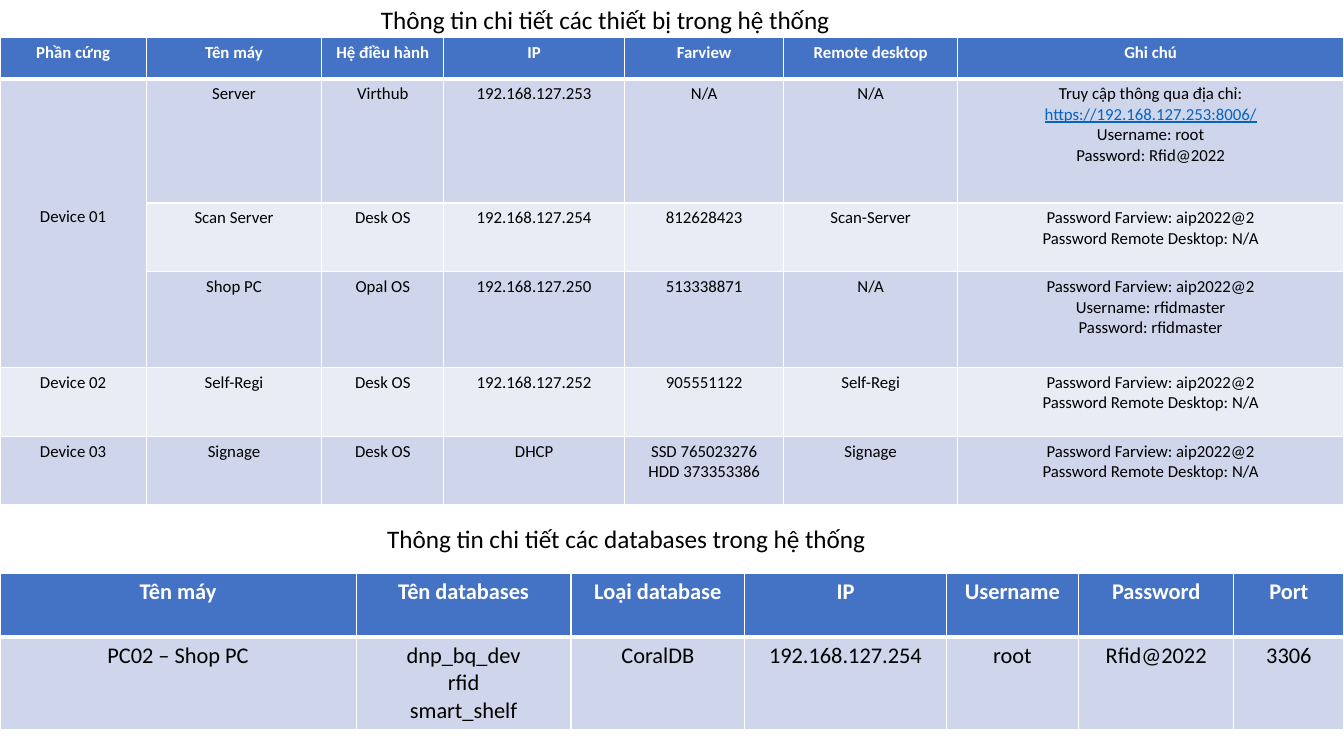
from collections import namedtuple
from lxml import etree
from pptx import Presentation
from pptx.dml.color import RGBColor
from pptx.enum.text import MSO_ANCHOR, MSO_AUTO_SIZE, PP_ALIGN
from pptx.oxml.ns import qn
from pptx.util import Inches, Pt

Box = namedtuple("Box", "left top width height")
Theme = namedtuple("Theme", "font header band_dark band_light line light_text text link "
                            "caption_size device_size database_size")
THEME = Theme("Calibri", "4472C4", "CFD5EA", "E9EBF5", "FFFFFF", "FFFFFF", "000000", "0563C1",
              18, 12, 16)
PAGE_WIDTH, PAGE_HEIGHT = 13.33, 7.5
THIN, THICK = 1, 3
BREAK = "\v"  # line break inside one paragraph; "\n" starts a new paragraph

ACCESS = "Password Farview: aip2022@2"
REMOTE_NOTE = ACCESS + "\nPassword Remote Desktop: N/A"
# None continues the cell above
DEVICES = [
    ["Phần cứng", "Tên máy", "Hệ điều hành", "IP", "Farview", "Remote desktop", "Ghi chú"],
    ["Device 01", "Server", "Virthub", "192.168.127.253", "N/A", "N/A",
     "Truy cập thông qua địa chỉ:" + BREAK + "https://192.168.127.253:8006/"
     "\nUsername: root\nPassword: Rfid@2022"],
    [None, "Scan Server", "Desk OS", "192.168.127.254", "812628423", "Scan-Server", REMOTE_NOTE],
    [None, "Shop PC", "Opal OS", "192.168.127.250", "513338871", "N/A",
     ACCESS + "\nUsername: rfidmaster\nPassword: rfidmaster"],
    ["Device 02", "Self-Regi", "Desk OS", "192.168.127.252", "905551122", "Self-Regi", REMOTE_NOTE],
    ["Device 03", "Signage", "Desk OS", "DHCP", "SSD 765023276\nHDD 373353386", "Signage",
     REMOTE_NOTE],
]
DATABASES = [
    ["Tên máy", "Tên databases", "Loại database", "IP", "Username", "Password", "Port"],
    ["PC02 – Shop PC", "dnp_bq_dev\nrfid\nsmart_shelf", "CoralDB", "192.168.127.254", "root",
     "Rfid@2022", "3306"],
]


def add_span(para, text, size, color, bold=False):
    span = para.add_run()
    span.text = text
    font = span.font
    font.name, font.size, font.bold = THEME.font, Pt(size), bold
    is_link = text.startswith("https://")
    font.underline = is_link
    font.color.rgb = RGBColor.from_string(THEME.link if is_link else color)


def set_borders(cell, row):
    """Thin lines all round, with a thick one under the header row."""
    widths = {"a:lnL": THIN, "a:lnR": THIN,
              "a:lnT": THICK if row == 1 else THIN,
              "a:lnB": THICK if row == 0 else THIN}
    props = cell._tc.get_or_add_tcPr()
    for position, (tag, width) in enumerate(widths.items()):
        line = etree.Element(qn(tag), w=str(Pt(width)))
        fill = etree.SubElement(line, qn("a:solidFill"))
        etree.SubElement(fill, qn("a:srgbClr"), val=THEME.line)
        props.insert(position, line)


def style_cell(cell, row, text, size):
    is_header = row == 0
    band = THEME.band_dark if row % 2 else THEME.band_light
    cell.fill.solid()
    cell.fill.fore_color.rgb = RGBColor.from_string(THEME.header if is_header else band)
    set_borders(cell, row)
    frame = cell.text_frame
    for index, line in enumerate((text or "").split("\n")):
        para = frame.add_paragraph() if index else frame.paragraphs[0]
        para.alignment = PP_ALIGN.CENTER
        para.font.size = Pt(size)
        for part, piece in enumerate(line.split(BREAK)):
            if part:
                para.add_line_break()
            if piece:
                add_span(para, piece, size, THEME.light_text if is_header else THEME.text, is_header)


def merge_continued(table, content):
    """Join each first-column cell with the None cells below it."""
    start = 0
    for row in range(1, len(content) + 1):
        if row < len(content) and content[row][0] is None:
            continue
        if row - start > 1:
            cell = table.cell(start, 0)
            cell.merge(table.cell(row - 1, 0))
            cell.vertical_anchor = MSO_ANCHOR.MIDDLE
            cell.margin_bottom = Inches(0.17)
        start = row


def add_grid(page, box, content, column_shares, row_shares, size):
    table = page.shapes.add_table(len(content), len(content[0]), *map(Inches, box)).table
    for column, share in zip(table.columns, column_shares):
        column.width = Inches(box.width * share / sum(column_shares))
    for row, share in zip(table.rows, row_shares):
        row.height = Inches(box.height * share / sum(row_shares))
    for row, texts in enumerate(content):
        for column, text in enumerate(texts):
            style_cell(table.cell(row, column), row, text, size)
    merge_continued(table, content)


def add_caption(page, box, text):
    frame = page.shapes.add_textbox(*map(Inches, box)).text_frame
    frame.word_wrap = True
    frame.auto_size = MSO_AUTO_SIZE.SHAPE_TO_FIT_TEXT
    add_span(frame.paragraphs[0], text, THEME.caption_size, THEME.text)


def build_page(page):
    add_grid(page, Box(0, 0.37, PAGE_WIDTH, 4.64), DEVICES,
             [1.45, 1.74, 1.21, 1.79, 1.58, 1.72, 3.83],
             [0.41, 1.23, 0.68, 0.95, 0.68, 0.68], THEME.device_size)
    add_grid(page, Box(0, 5.69, PAGE_WIDTH, 1.54), DATABASES,
             [3.53, 2.13, 1.72, 2, 1.31, 1.54, 1.09],
             [0.63, 0.91], THEME.database_size)
    add_caption(page, Box(3.68, -0.01, 4.72, 0.4),
                "Thông tin chi tiết các thiết bị trong hệ thống")
    add_caption(page, Box(3.74, 5.14, 5.28, 0.4),
                "Thông tin chi tiết các databases trong hệ thống")


def main():
    deck = Presentation()
    deck.slide_width, deck.slide_height = Inches(PAGE_WIDTH), Inches(PAGE_HEIGHT)
    build_page(deck.slides.add_slide(deck.slide_layouts[6]))
    deck.save("out.pptx")


if __name__ == "__main__":
    main()
